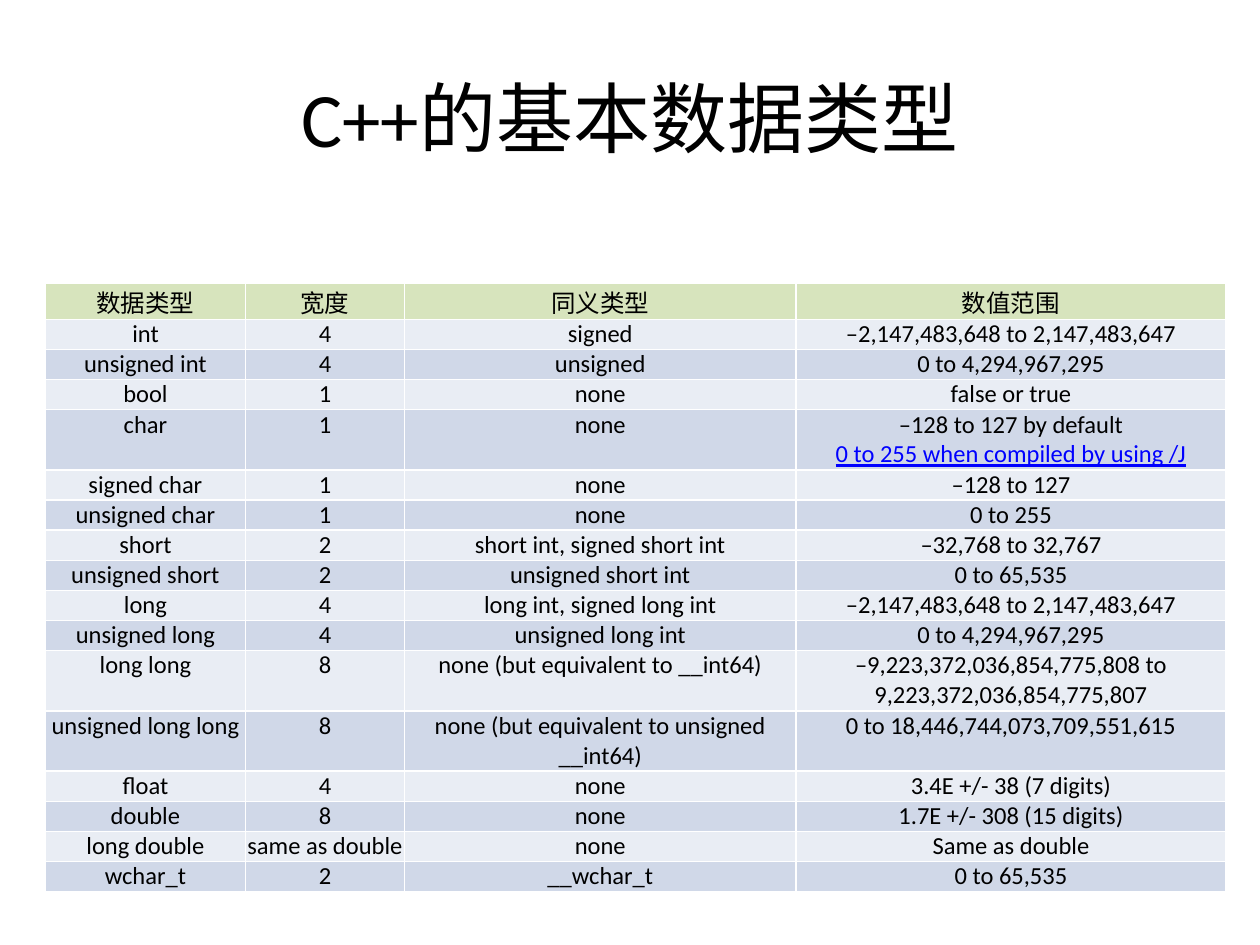
from lxml.etree import SubElement
from pptx import Presentation
from pptx.dml.color import RGBColor
from pptx.enum.text import MSO_ANCHOR, PP_ALIGN
from pptx.oxml.ns import qn
from pptx.util import Inches, Pt

BLACK = RGBColor(0x00, 0x00, 0x00)
WHITE = RGBColor(0xFF, 0xFF, 0xFF)
BLUE = RGBColor(0x00, 0x00, 0xFF)
GREEN = RGBColor(0xD7, 0xE4, 0xBD)
BANDS = (RGBColor(0xD0, 0xD8, 0xE8), RGBColor(0xE9, 0xED, 0xF4))

COLUMN_SHARES = (0.159, 0.126, 0.311, 0.341)
HEADER_SHARE = 0.038
LINE_SHARE = 0.0319
TWO_LINE_TYPES = ("char", "long long", "unsigned long long")
UNDERLINED = "0 to 255 when compiled by using /J"

HEADINGS = ("数据类型", "宽度", "同义类型", "数值范围")
DATA_TYPES = (
    ("int", "4", "signed", "–2,147,483,648 to 2,147,483,647"),
    ("unsigned int", "4", "unsigned", "0 to 4,294,967,295"),
    ("bool", "1", "none", "false or true"),
    ("char", "1", "none", "–128 to 127 by default\n" + UNDERLINED),
    ("signed char", "1", "none", "–128 to 127"),
    ("unsigned char", "1", "none", "0 to 255"),
    ("short", "2", "short int, signed short int", "–32,768 to 32,767"),
    ("unsigned short", "2", "unsigned short int", "0 to 65,535"),
    ("long", "4", "long int, signed long int", "–2,147,483,648 to 2,147,483,647"),
    ("unsigned long", "4", "unsigned long int", "0 to 4,294,967,295"),
    ("long long", "8", "none (but equivalent to __int64)",
     "–9,223,372,036,854,775,808 to 9,223,372,036,854,775,807"),
    ("unsigned long long", "8", "none (but equivalent to unsigned __int64)",
     "0 to 18,446,744,073,709,551,615"),
    ("float", "4", "none", "3.4E +/- 38 (7 digits)"),
    ("double", "8", "none", "1.7E +/- 308 (15 digits)"),
    ("long double", "same as double", "none", "Same as double"),
    ("wchar_t", "2", "__wchar_t", "0 to 65,535"),
)


def write_text(frame, text, font="Calibri", size=14, color=BLACK):
    """Write centred lines of text, underlining the compiler option in blue."""
    frame.word_wrap = True
    for index, line in enumerate(text.split("\n")):
        paragraph = frame.add_paragraph() if index else frame.paragraphs[0]
        paragraph.alignment = PP_ALIGN.CENTER
        run = paragraph.add_run()
        run.text = line
        run.font.name = font
        run.font.size = Pt(size)
        run.font.color.rgb = BLUE if line == UNDERLINED else color
        run.font.underline = line == UNDERLINED


class SlideBuilder:
    """Hold the style and the current slide, with lengths as slide shares."""

    def __init__(self, presentation, font="Calibri", border=WHITE):
        self.width = presentation.slide_width
        self.height = presentation.slide_height
        self.slide = presentation.slides.add_slide(presentation.slide_layouts[6])
        self.font = font
        self.border = border

    def box(self, left, top, width, height):
        """Turn shares of the slide into lengths."""
        return (int(left * self.width), int(top * self.height),
                int(width * self.width), int(height * self.height))

    def title(self, text, *shares):
        """Add the slide heading."""
        shape = self.slide.shapes.add_textbox(*self.box(*shares))
        shape.text_frame.vertical_anchor = MSO_ANCHOR.MIDDLE
        write_text(shape.text_frame, text, font=self.font, size=44)

    def cell(self, cell, text, fill, anchor):
        """Fill one cell and draw its borders."""
        cell.margin_left = cell.margin_right = 0
        cell.margin_top = cell.margin_bottom = 0
        cell.vertical_anchor = anchor
        properties = cell._tc.get_or_add_tcPr()
        for side in ("lnL", "lnR", "lnT", "lnB"):
            line = SubElement(properties, qn(f"a:{side}"), w=str(Pt(1)))
            solid = SubElement(line, qn("a:solidFill"))
            SubElement(solid, qn("a:srgbClr"), val=str(self.border))
        cell.fill.solid()
        cell.fill.fore_color.rgb = fill
        write_text(cell.text_frame, text, font=self.font)

    def table(self, headings, records, left, top):
        """Add a banded table below a header row."""
        row_shares = [HEADER_SHARE] + [
            LINE_SHARE * (2 if record[0] in TWO_LINE_TYPES else 1) for record in records]
        frame = self.slide.shapes.add_table(
            len(row_shares), len(headings),
            *self.box(left, top, sum(COLUMN_SHARES), sum(row_shares)))
        table = frame.table
        table.first_row = table.horz_banding = False
        for column, share in zip(table.columns, COLUMN_SHARES):
            column.width = int(share * self.width)
        for index, record in enumerate((headings, *records)):
            table.rows[index].height = int(row_shares[index] * self.height)
            fill = BANDS[index % 2] if index else GREEN
            anchor = MSO_ANCHOR.TOP if index else MSO_ANCHOR.MIDDLE
            for column, text in enumerate(record):
                self.cell(table.cell(index, column), text, fill, anchor)


def main():
    """Build and save the slide of basic data types."""
    presentation = Presentation()
    presentation.slide_width = Inches(10)
    presentation.slide_height = Inches(7.5)
    builder = SlideBuilder(presentation)
    builder.title("C++的基本数据类型", 0.05, 0.04, 0.9, 1 / 6)
    builder.table(HEADINGS, DATA_TYPES, 0.036, 0.3)
    presentation.save("out.pptx")


if __name__ == "__main__":
    main()
